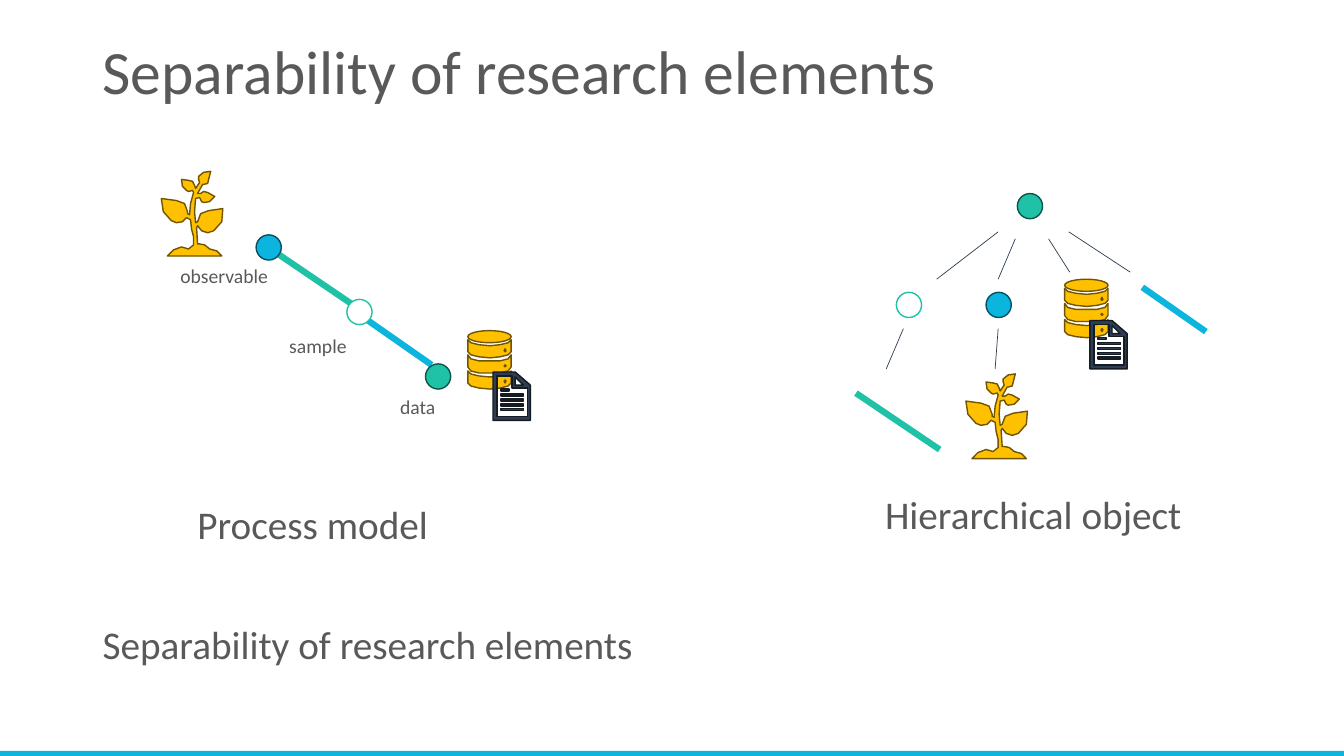
from math import cos, pi, sin

from lxml import etree
from pptx import Presentation
from pptx import util as u
from pptx.dml.color import RGBColor
from pptx.enum import shapes, text
from pptx.oxml import ns

BLUE, BLUE_EDGE = RGBColor(0x0B, 0xB5, 0xDD), RGBColor(0x05, 0x4F, 0x61)
GREEN, GREEN_EDGE = RGBColor(0x1F, 0xC2, 0xA7), RGBColor(0x0E, 0x55, 0x49)
GOLD, GOLD_EDGE = RGBColor(0xFF, 0xC0, 0x00), RGBColor(0x70, 0x54, 0x00)
NAVY, NAVY_EDGE = RGBColor(0x2D, 0x3E, 0x50), RGBColor(0x14, 0x1B, 0x23)
GREY, WHITE = RGBColor(0x59, 0x59, 0x59), RGBColor(0xFF, 0xFF, 0xFF)
FONT = "Calibri"

# Text: wording, left, top, width, height, size
HEADINGS = [
    ("Separability of research elements", 0.92, 0.01, 12.08, 1.45, 44),
    ("Process model", 1.86, 4.97, 4.27, 0.74, 28),
    ("Hierarchical object", 8.68, 4.87, 4.27, 0.74, 28),
    ("Separability of research elements", 0.92, 6.16, 11.5, 0.59, 28),
]
LABELS = [
    ("observable", 1.69, 2.57, 1.08, 0.34, 14),
    ("sample", 2.77, 3.26, 0.78, 0.34, 14),
    ("data", 3.87, 3.87, 0.56, 0.34, 14),
]

# Lines: from, to, colour, width
STEPS = [
    ((3.48, 3.01), (2.64, 2.44), GREEN, 4.5),
    ((3.65, 3.18), (4.28, 3.62), BLUE, 4.5),
    ((9.32, 4.46), (8.49, 3.9), GREEN, 4.5),
    ((11.33, 2.85), (11.96, 3.29), BLUE, 4.5),
]
BRANCHES = [
    ((9.9, 2.3), (9.29, 2.77)), ((10.07, 2.37), (9.9, 2.77)),
    ((10.4, 2.37), (10.61, 2.7)), ((10.6, 2.3), (11.21, 2.7)),
    ((8.96, 3.26), (8.79, 3.66)), ((9.9, 3.26), (9.87, 3.66)),
]

# Nodes: left, top, fill, edge
NODE_SIZE = 0.25
NODES = [
    (2.54, 2.33, BLUE, BLUE_EDGE), (3.44, 2.97, WHITE, GREEN),
    (4.22, 3.61, GREEN, GREEN_EDGE), (10.09, 1.92, GREEN, GREEN_EDGE),
    (8.89, 2.9, WHITE, GREEN), (9.78, 2.9, BLUE, BLUE_EDGE),
]

# Icons: top left corners; outlines are in hundredths of an inch
PLANTS = [(1.6, 1.7), (9.58, 3.71)]
DATA_STORES = [(4.64, 3.28), (10.56, 2.77)]
PAPER_OFFSET = (0.25, 0.41)
UNIT = u.Inches(0.01)

# Two numbers are a line end, six are a curve
PLANT = [
    (48, 77), (45, 74, 42, 72, 38, 72), (36, 72), (35, 56),
    (36, 54), (38, 58, 42, 61, 46, 61), (52, 59),
    (60, 55, 61, 46, 61, 37), (47, 39),
    (41, 39, 36, 44, 36, 50), (34, 51), (33, 44, 32, 36, 34, 27), (38, 26),
    (40, 30), (42, 31), (47, 32, 50, 29, 53, 25),
    (46, 21), (44, 19, 41, 20, 39, 22), (36, 22),
    (41, 13), (42, 13), (45, 13, 47, 11, 47, 8),
    (49, 0), (44, 0, 40, 1, 37, 5), (37, 8),
    (38, 11), (34, 17), (33, 14),
    (33, 11, 30, 9, 27, 9), (20, 8), (20, 13, 21, 17, 25, 19),
    (27, 20), (31, 19), (32, 21), (29, 29, 28, 36, 28, 43),
    (26, 42), (26, 40), (26, 34, 21, 29, 15, 29), (0, 27),
    (0, 36, 1, 45, 10, 49), (15, 51),
    (19, 51, 23, 49, 25, 46), (29, 48), (30, 57),
    (31, 62, 33, 68, 32, 73), (27, 77),
    (20, 75), (14, 75, 9, 79, 6, 84), (60, 84),
    (58, 80, 53, 77, 48, 77),
]
PAPER = [
    [(4, 44), (4, 4), (19, 4), (19, 16), (34, 16), (34, 44)],
    [(22, 5), (30, 13), (22, 13)],
    [(22, 0), (0, 0), (0, 48), (37, 48), (37, 13)],
]
PAPER_LINES = [(17, 8), (22, 22), (27, 22), (31.5, 22), (36, 22)]  # top, width


def flatten(outline, steps=2):
    """Turn lines and cubic curves into points."""
    points = [outline[0]]
    for seg in outline[1:]:
        if len(seg) == 2:
            points.append(seg)
            continue
        ctrl = [points[-1], seg[:2], seg[2:4], seg[4:]]
        for i in range(1, steps + 1):
            t = i / steps
            weights = ((1 - t) ** 3, 3 * t * (1 - t) ** 2, 3 * t * t * (1 - t), t ** 3)
            points.append(tuple(sum(w * c[k] for w, c in zip(weights, ctrl)) for k in (0, 1)))
    return points


def arc(cx, cy, rx, ry, start, end, steps):
    angles = [start + (end - start) * i / steps for i in range(steps + 1)]
    return [(cx + rx * cos(a), cy + ry * sin(a)) for a in angles]


def paint(s, fill, edge=None):
    s.shadow.inherit = False
    s.fill.solid()
    s.fill.fore_color.rgb = fill
    if edge is None:
        s.line.fill.background()
    else:
        s.line.color.rgb = edge
        s.line.width = u.Pt(1)


def draw(parent, corner, contours, fill, edge):
    fb = parent.shapes.build_freeform(*contours[0][0], scale=UNIT)
    for i, points in enumerate(contours):
        if i:
            fb.move_to(*points[0])
        fb.add_line_segments(points[1:], close=True)
    paint(fb.convert_to_shape(*map(u.Inches, corner)), fill, edge)


def add_oval(parent, left, top, width, height, fill, edge):
    paint(parent.shapes.add_shape(shapes.MSO_SHAPE.OVAL, *map(
        u.Inches, (left, top, width, height))), fill, edge)


def add_line(start, end, colour, width):
    c = slide.shapes.add_connector(shapes.MSO_CONNECTOR.STRAIGHT,
                                   *map(u.Inches, start + end))
    c.line.color.rgb = colour
    c.line.width = u.Pt(width)
    etree.SubElement(c._element.spPr, ns.qn("a:effectLst"))


def add_text(words, left, top, width, height, size):
    tf = slide.shapes.add_textbox(*map(u.Inches, (left, top, width, height))).text_frame
    p = tf.paragraphs[0]
    p.text = words
    p.font.name, p.font.size, p.font.color.rgb = FONT, u.Pt(size), GREY
    return tf


def add_data_store(corner):
    # Lid and three tiers, each with a small light
    group = slide.shapes.add_group_shape()
    add_oval(group, *corner, 0.43, 0.12, GOLD, GOLD_EDGE)
    for tier in range(3):
        y = 9 + 15.5 * tier
        body = arc(21.5, y, 21.5, 6, 0, pi, 6) + arc(21.5, y + 12, 21.5, 6, pi, 0, 6)
        light = arc(37, y + 10.5, 1.5, 1.5, 0, 1.5 * pi, 3)
        draw(group, corner, [body, light], GOLD, GOLD_EDGE)
    # Sheet of paper in front, its lines of writing as one outline
    group = slide.shapes.add_group_shape()
    corner = tuple(c + d for c, d in zip(corner, PAPER_OFFSET))
    draw(group, corner, PAPER, NAVY, NAVY_EDGE)
    bars = [[(8, y), (8 + w, y), (8 + w, y + 2), (8, y + 2)] for y, w in PAPER_LINES]
    draw(group, corner, bars, NAVY, NAVY_EDGE)


prs = Presentation()
prs.slide_width, prs.slide_height = u.Inches(13.33), u.Inches(7.5)
slide = prs.slides.add_slide(prs.slide_layouts[6])

# Bottom band
band = slide.shapes.add_shape(shapes.MSO_SHAPE.RECTANGLE, 0, u.Inches(7.45),
                              prs.slide_width, u.Inches(0.05))
paint(band, BLUE)

# Lines below nodes
for step in STEPS:
    add_line(*step)
for start, end in BRANCHES:
    add_line(start, end, NAVY, 0.5)
for left, top, fill, edge in NODES:
    add_oval(slide, left, top, NODE_SIZE, NODE_SIZE, fill, edge)

# Icons
for corner in PLANTS:
    draw(slide, corner, [flatten(PLANT)], GOLD, GOLD_EDGE)
for corner in DATA_STORES:
    add_data_store(corner)

# Text
for i, heading in enumerate(HEADINGS):
    tf = add_text(*heading)
    tf.word_wrap = True
    tf.paragraphs[0].line_spacing = 0.9
    if i == 0:
        tf.vertical_anchor = text.MSO_ANCHOR.MIDDLE
for label in LABELS:
    tf = add_text(*label)
    tf.word_wrap = False
    tf.auto_size = text.MSO_AUTO_SIZE.SHAPE_TO_FIT_TEXT

prs.save("out.pptx")
